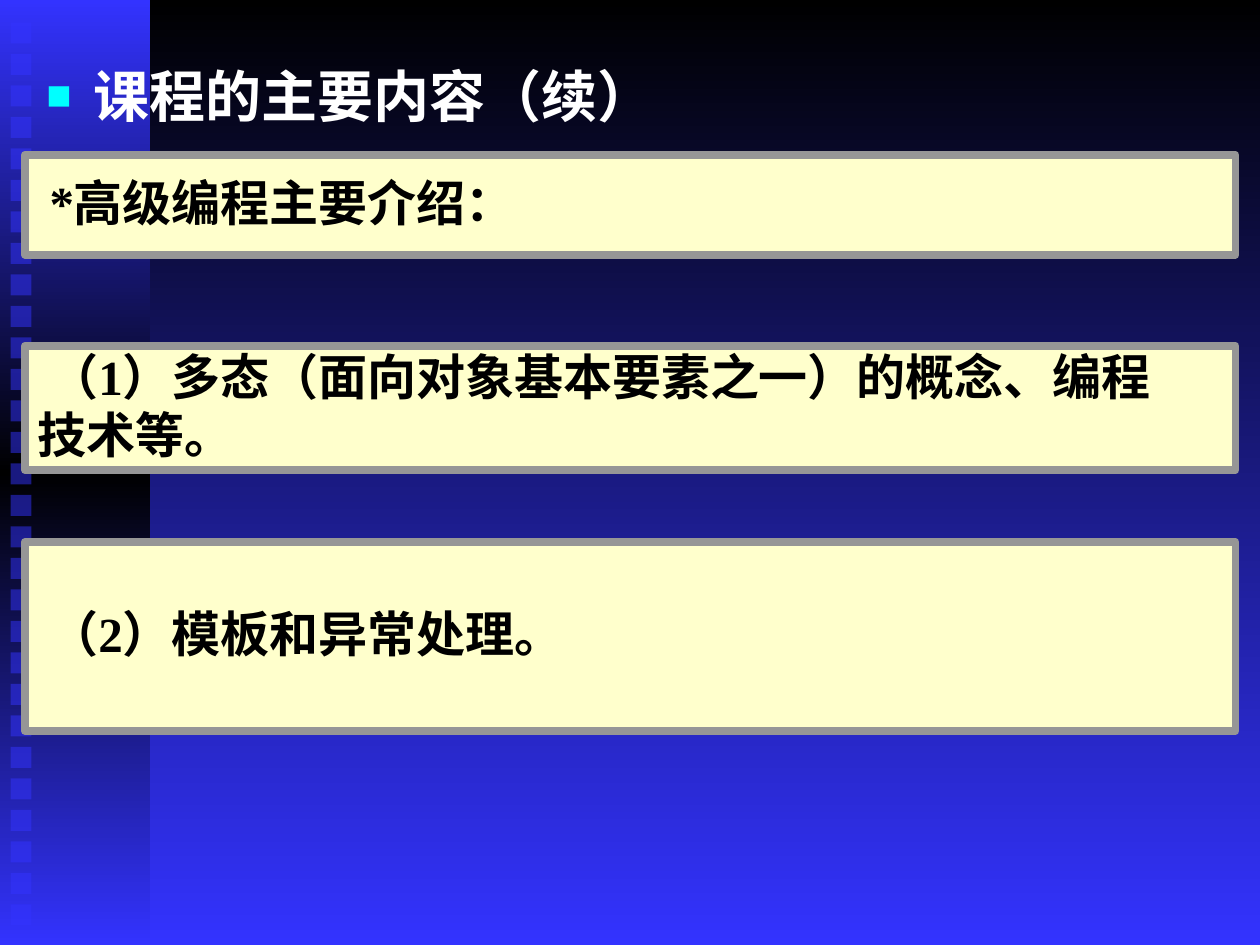
from copy import deepcopy

from pptx import Presentation, util as u
from pptx.dml.color import RGBColor
from pptx.enum import shapes, text
from pptx.oxml import ns, xmlchemy

BLUE = "3333FF"
Pt = u.Pt


def color(value):
    return RGBColor.from_string(value)


def write(paragraph, words, size, ink):
    paragraph.alignment = text.PP_ALIGN.LEFT
    span = paragraph.add_run()
    span.text = words
    for name, value in {"name": "Times New Roman", "size": Pt(size), "bold": True}.items():
        setattr(span.font, name, value)
    span.font.color.rgb = color(ink)


deck = Presentation()
deck.slide_width, deck.slide_height = Pt(720), Pt(540)
page = deck.slides.add_slide(deck.slide_layouts[6])

sidebar = page.shapes.add_shape(shapes.MSO_SHAPE.RECTANGLE, 0, 0, Pt(85.7), Pt(540))
sidebar.shadow.inherit = False
sidebar.line.fill.background()
sidebar.fill.gradient()
stop_list = sidebar._element.spPr.find(".//" + ns.qn("a:gsLst"))
stop_list.insert(1, deepcopy(stop_list[0]))

page.background.fill.gradient()
for fill, colors in (
    (page.background.fill, ("000000", BLUE)),
    (sidebar.fill, (BLUE, "000000", BLUE)),
):
    fill.gradient_angle = 270
    for index, (stop, value) in enumerate(zip(fill.gradient_stops, colors)):
        stop.position = index / (len(colors) - 1)
        stop.color.rgb = color(value)

for index in range(29):
    square = page.shapes.add_shape(
        shapes.MSO_SHAPE.RECTANGLE, Pt(6), Pt(12.75 + 18 * index), Pt(12), Pt(12)
    )
    square.shadow.inherit = False
    square.line.fill.background()
    square.fill.solid()
    square.fill.fore_color.rgb = color(BLUE)
    tint = square._element.spPr.find(".//" + ns.qn("a:srgbClr"))
    alpha = xmlchemy.OxmlElement("a:alpha")
    alpha.set("val", "50000")
    tint.append(alpha)

title = page.shapes.add_textbox(Pt(19.4), Pt(31.7), Pt(612), Pt(57))
title.text_frame.word_wrap = True
heading = title.text_frame.paragraphs[0]
properties = heading._p.get_or_add_pPr()
properties.set("marL", str(Pt(27)))
properties.set("indent", str(Pt(-27)))
bullet_color = xmlchemy.OxmlElement("a:buClr")
properties.append(bullet_color)
for parent, tag, name, value in (
    (bullet_color, "a:srgbClr", "val", "00FFFF"),
    (properties, "a:buSzPct", "val", "75000"),
    (properties, "a:buFont", "typeface", "Times New Roman"),
    (properties, "a:buChar", "char", "■"),
):
    element = xmlchemy.OxmlElement(tag)
    element.set(name, value)
    parent.append(element)
write(heading, "课程的主要内容（续）", 32, "FFFFFF")

panels = (
    (88.5, 57, ["*高级编程主要介绍："]),
    (197.6, 71, ["（1）多态（面向对象基本要素之一）的概念、编程", "技术等。"]),
    (309.7, 108, ["（2）模板和异常处理。"]),
)
for top, height, lines in panels:
    box = page.shapes.add_shape(
        shapes.MSO_SHAPE.RECTANGLE, Pt(14.2), Pt(top), Pt(691.8), Pt(height)
    )
    box.shadow.inherit = False
    box.fill.solid()
    box.fill.fore_color.rgb = color("FFFFCC")
    box.line.color.rgb = color("969696")
    box.line.width = Pt(4.5)
    frame = box.text_frame
    for name, value in {
        "word_wrap": True,
        "vertical_anchor": text.MSO_ANCHOR.MIDDLE,
        "margin_left": Pt(7.2),
        "margin_right": Pt(7.2),
        "margin_top": 0,
        "margin_bottom": Pt(3.6),
    }.items():
        setattr(frame, name, value)
    for index, line in enumerate(lines):
        paragraph = frame.add_paragraph() if index else frame.paragraphs[0]
        paragraph._p.get_or_add_pPr().set("indent", str(0 if index else Pt(7)))
        write(paragraph, line, 28, "000000")

deck.save("out.pptx")
